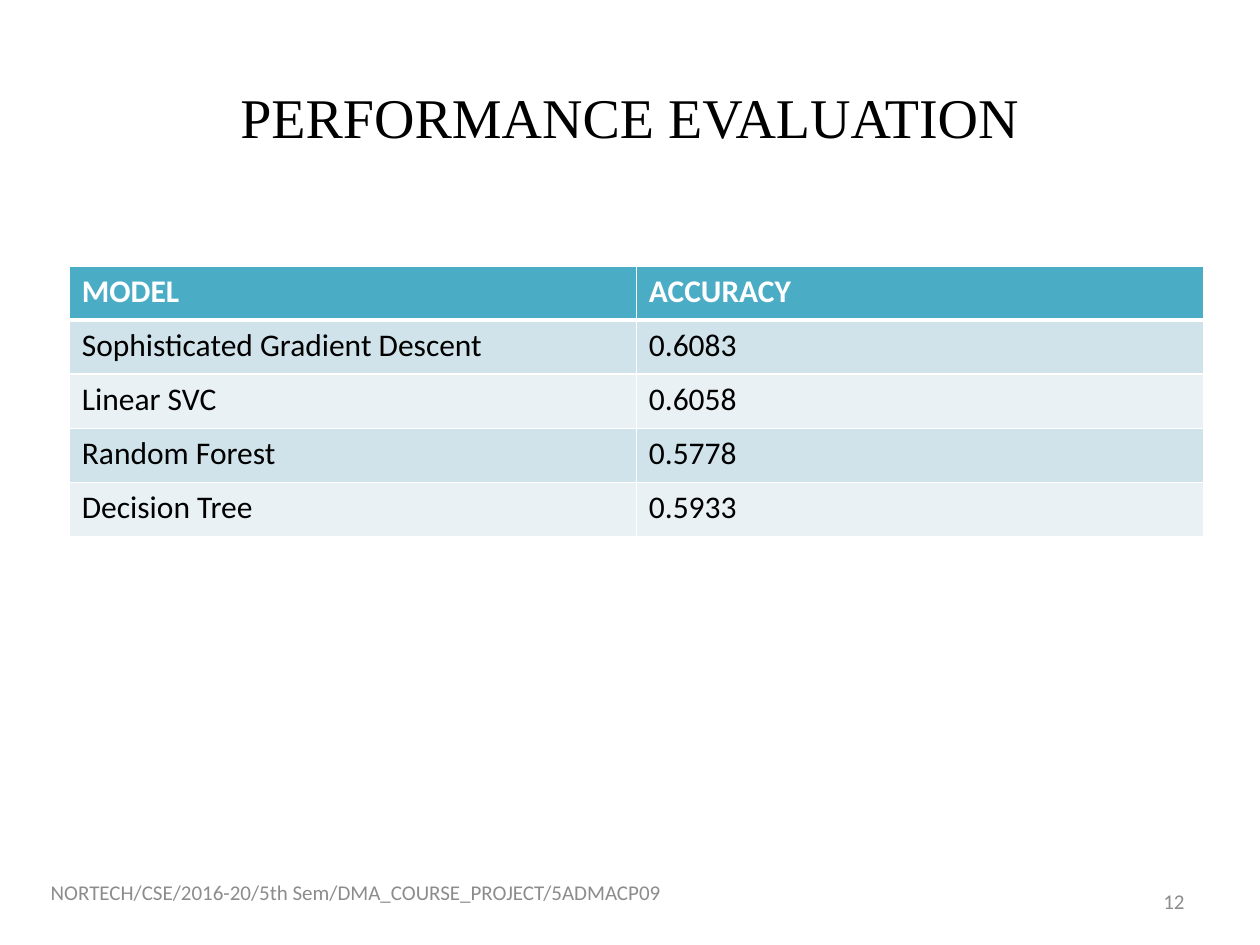
import pptx
import pptx.util
import pptx.dml.color
import pptx.enum.text
import pptx.oxml
import pptx.oxml.ns

WHITE = pptx.dml.color.RGBColor(0xFF, 0xFF, 0xFF)
BLACK = pptx.dml.color.RGBColor(0x00, 0x00, 0x00)
GRAY = pptx.dml.color.RGBColor(0x8C, 0x8C, 0x8C)
TEAL = pptx.dml.color.RGBColor(0x4B, 0xAC, 0xC6)
BANDS = (
    pptx.dml.color.RGBColor(0xD0, 0xE3, 0xEA),
    pptx.dml.color.RGBColor(0xE9, 0xF1, 0xF5),
)
ALIGN = pptx.enum.text.PP_ALIGN
MIDDLE = pptx.enum.text.MSO_ANCHOR.MIDDLE

TITLE_FONT = {"name": "Times New Roman", "size": pptx.util.Pt(32), "bold": False}
HEADER_FONT = {"name": "Calibri", "size": pptx.util.Pt(18), "bold": True}
BODY_FONT = {**HEADER_FONT, "bold": False}
FOOTER_FONT = {"name": "Calibri", "size": pptx.util.Pt(12), "bold": False}

RESULTS = (
    ("MODEL", "ACCURACY"),
    ("Sophisticated Gradient Descent", "0.6083"),
    ("Linear SVC", "0.6058"),
    ("Random Forest", "0.5778"),
    ("Decision Tree", "0.5933"),
)


def inches(box):
    return [pptx.util.Inches(length) for length in box]


def write_text(frame, text, font, color, align):
    para = frame.paragraphs[0]
    para.alignment = align
    span = para.add_run()
    span.text = text
    for name, value in font.items():
        setattr(span.font, name, value)
    span.font.color.rgb = color


def set_borders(cell, widths):
    properties = cell._tc.get_or_add_tcPr()
    for position, (side, width) in enumerate(widths.items()):
        line = pptx.oxml.parse_xml(
            f'<a:{side} {pptx.oxml.ns.nsdecls("a")} w="{pptx.util.Pt(width)}">'
            f'<a:solidFill><a:srgbClr val="{WHITE}"/></a:solidFill></a:{side}>'
        )
        properties.insert(position, line)


def add_title(page, box, text):
    title = page.shapes.title
    title.left, title.top, title.width, title.height = inches(box)
    title.text_frame.vertical_anchor = MIDDLE
    write_text(title.text_frame, text, TITLE_FONT, BLACK, ALIGN.CENTER)


def add_results(page, box, records):
    table = page.shapes.add_table(len(records), len(records[0]), *inches(box)).table
    for row, record in enumerate(records):
        header = row == 0
        fill = TEAL if header else BANDS[(row - 1) % 2]
        font, color = (HEADER_FONT, WHITE) if header else (BODY_FONT, BLACK)
        widths = {"lnL": 1, "lnR": 1, "lnT": 3 if row == 1 else 1, "lnB": 3 if header else 1}
        for column, text in enumerate(record):
            cell = table.cell(row, column)
            cell.fill.solid()
            cell.fill.fore_color.rgb = fill
            set_borders(cell, widths)
            write_text(cell.text_frame, text, font, color, ALIGN.LEFT)


def add_footer(page, box, text, align):
    frame = page.shapes.add_textbox(*inches(box)).text_frame
    frame.word_wrap = True
    frame.vertical_anchor = MIDDLE
    write_text(frame, text, FOOTER_FONT, GRAY, align)


def build_deck():
    deck = pptx.Presentation()
    deck.slide_width, deck.slide_height = inches((10, 7.5))
    page = deck.slides.add_slide(deck.slide_layouts[5])
    add_title(page, (0.5, 0.3, 9, 1.25), "PERFORMANCE EVALUATION")
    add_results(page, (0.55, 2.11, 9, 2.15), RESULTS)
    add_footer(page, (7.17, 6.95, 2.33, 0.4), "12", ALIGN.RIGHT)
    add_footer(
        page,
        (-0.78, 6.88, 7.21, 0.4),
        "NORTECH/CSE/2016-20/5th Sem/DMA_COURSE_PROJECT/5ADMACP09",
        ALIGN.CENTER,
    )
    deck.save("out.pptx")


build_deck()
